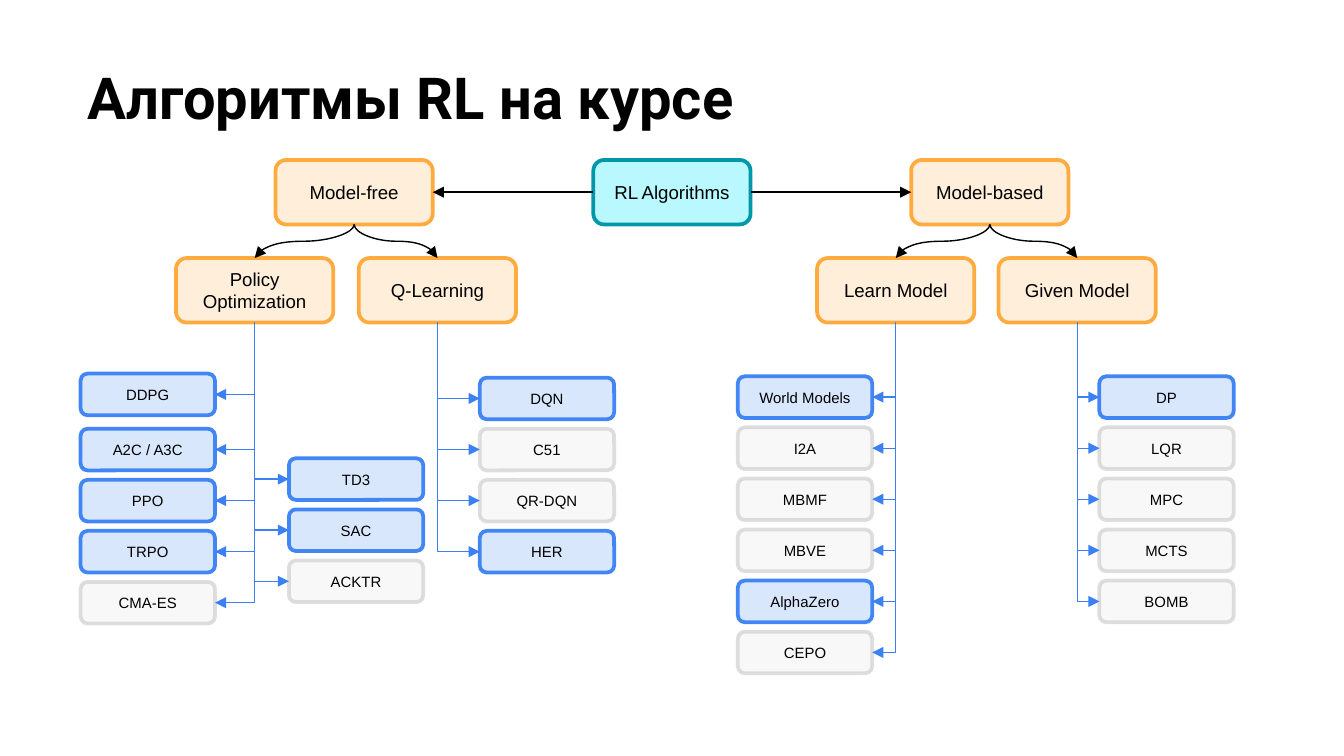
"""Build a slide with a tree of reinforcement learning algorithms."""
from pptx import Presentation, util as u
from pptx.dml.color import RGBColor
from pptx.enum import shapes, text
from pptx.oxml.ns import qn
from lxml import etree

TITLE = "Алгоритмы RL на курсе"
COLORS = {
    "black": "000000", "arrow": "3C81F3",
    "root_fill": "BAF8FF", "root_line": "0097A7",
    "branch_fill": "FFEED9", "branch_line": "FFAB40",
    "taught_fill": "D9E7FD", "taught_line": "4285F4",
    "other_fill": "F2F2F2", "other_line": "BFBFBF",
}
ROOT = "RL Algorithms"
FAMILIES = [
    ("Model-free", 2.05, "left", [("Policy Optimization", 1.31), ("Q-Learning", 2.67)]),
    ("Model-based", 6.78, "right", [("Learn Model", 6.08), ("Given Model", 7.43)]),
]
LEAVES = [
    ("Policy Optimization", "left", 0.6, 2.78, ["DDPG"]),
    ("Policy Optimization", "left", 0.6, 3.19, ["A2C / A3C", "PPO", "TRPO", "CMA-ES"]),
    ("Policy Optimization", "right", 2.15, 3.41, ["TD3", "SAC", "ACKTR"]),
    ("Q-Learning", "right", 3.57, 2.81, ["DQN", "C51", "QR-DQN", "HER"]),
    ("Learn Model", "left", 5.49, 2.8,
     ["World Models", "I2A", "MBMF", "MBVE", "AlphaZero", "CEPO"]),
    ("Given Model", "right", 8.18, 2.8, ["DP", "LQR", "MPC", "MCTS", "BOMB"]),
]
TAUGHT = {"DDPG", "A2C / A3C", "PPO", "TRPO", "TD3", "SAC", "DQN", "HER",
          "World Models", "AlphaZero", "DP"}
SLIDE_WIDTH = 10
FAMILY_TOP, BRANCH_TOP, LEAF_PITCH = 1.19, 1.92, 0.38
NODE_SIZE, LEAF_SIZE = (1.17, 0.48), (1, 0.31)
TOP, LEFT, BOTTOM, RIGHT = range(4)
FACING_SITE = {"left": RIGHT, "right": LEFT}


def rgb(name):
    return RGBColor.from_string(COLORS[name])


def make_translucent(element):
    for color in element.iter(qn("a:srgbClr")):
        etree.SubElement(color, qn("a:alpha"), val="50000")


def format_run(paragraph, font_name, size, bold=False):
    font = paragraph.runs[0].font
    font.name, font.size, font.bold = font_name, u.Pt(size), bold
    font.color.rgb = rgb("black")


def add_box(slide, label, left, top, kind):
    is_leaf = kind in ("taught", "other")
    width, height = LEAF_SIZE if is_leaf else NODE_SIZE
    shape = slide.shapes.add_shape(
        shapes.MSO_SHAPE.ROUNDED_RECTANGLE,
        u.Inches(left), u.Inches(top), u.Inches(width), u.Inches(height))
    shape.shadow.inherit = False
    shape.fill.solid()
    shape.fill.fore_color.rgb = rgb(kind + "_fill")
    shape.line.color.rgb = rgb(kind + "_line")
    shape.line.width = u.Pt(2)
    if kind == "other":
        make_translucent(shape._element.spPr)
    frame = shape.text_frame
    frame.word_wrap = True
    frame.vertical_anchor = text.MSO_ANCHOR.MIDDLE
    frame.text = label
    frame.paragraphs[0].alignment = text.PP_ALIGN.CENTER
    format_run(frame.paragraphs[0], "Arial", 8 if is_leaf else 10)
    return shape


def add_arrow(slide, kind, start, start_site, end, end_site, color):
    connector = slide.shapes.add_connector(kind, 0, 0, 0, 0)
    connector.begin_connect(start, start_site)
    connector.end_connect(end, end_site)
    connector.line.color.rgb = rgb(color)
    connector.line.width = u.Pt(0.75)
    etree.SubElement(connector.line._get_or_add_ln(), qn("a:tailEnd"), type="triangle")
    etree.SubElement(connector._element.spPr, qn("a:effectLst"))
    return connector


def turn_downward(connector, preset):
    """Rotate the connector so that it leaves its start point vertically."""
    across = connector.end_x - connector.begin_x
    down = connector.end_y - connector.begin_y
    middle_x = (connector.begin_x + connector.end_x) // 2
    middle_y = (connector.begin_y + connector.end_y) // 2
    connector.width, connector.height = down, abs(across)
    connector.left = middle_x - down // 2
    connector.top = middle_y - abs(across) // 2
    properties = connector._element.spPr
    transform = properties.find(qn("a:xfrm"))
    transform.set("rot", str((270 if across > 0 else 90) * 60000))
    transform.set("flipH", "1" if across > 0 else "0")
    transform.set("flipV", "0")
    properties.find(qn("a:prstGeom")).set("prst", preset)


def add_title(slide):
    title = slide.shapes.title
    title.left, title.top = u.Inches(0.55), u.Inches(0.36)
    title.width, title.height = u.Inches(9.32), u.Inches(1.07)
    frame = title.text_frame
    frame.margin_left = frame.margin_right = u.Inches(0.1)
    frame.margin_top = frame.margin_bottom = u.Inches(0.1)
    frame.vertical_anchor = text.MSO_ANCHOR.TOP
    frame.text = TITLE
    frame.paragraphs[0].alignment = text.PP_ALIGN.LEFT
    format_run(frame.paragraphs[0], "Roboto", 31, bold=True)


def add_tree(slide):
    kinds = shapes.MSO_CONNECTOR
    root_left = (SLIDE_WIDTH - NODE_SIZE[0]) / 2
    root = add_box(slide, ROOT, root_left, FAMILY_TOP, "root")
    branches = {}
    for label, left, side, children in FAMILIES:
        family = add_box(slide, label, left, FAMILY_TOP, "branch")
        root_site = LEFT if side == "left" else RIGHT
        add_arrow(slide, kinds.STRAIGHT, root, root_site, family, FACING_SITE[side], "black")
        for child, child_left in children:
            branches[child] = add_box(slide, child, child_left, BRANCH_TOP, "branch")
            arrow = add_arrow(slide, kinds.CURVE, family, BOTTOM, branches[child], TOP, "black")
            turn_downward(arrow, "curvedConnector3")
    for branch, side, left, top, labels in LEAVES:
        for row, label in enumerate(labels):
            kind = "taught" if label in TAUGHT else "other"
            leaf = add_box(slide, label, left, top + row * LEAF_PITCH, kind)
            arrow = add_arrow(slide, kinds.ELBOW, branches[branch], BOTTOM,
                              leaf, FACING_SITE[side], "arrow")
            turn_downward(arrow, "bentConnector2")


def main():
    presentation = Presentation()
    presentation.slide_width = u.Inches(SLIDE_WIDTH)
    presentation.slide_height = u.Inches(SLIDE_WIDTH * 9 / 16)
    slide = presentation.slides.add_slide(presentation.slide_layouts[5])
    add_title(slide)
    add_tree(slide)
    presentation.save("out.pptx")


if __name__ == "__main__":
    main()
